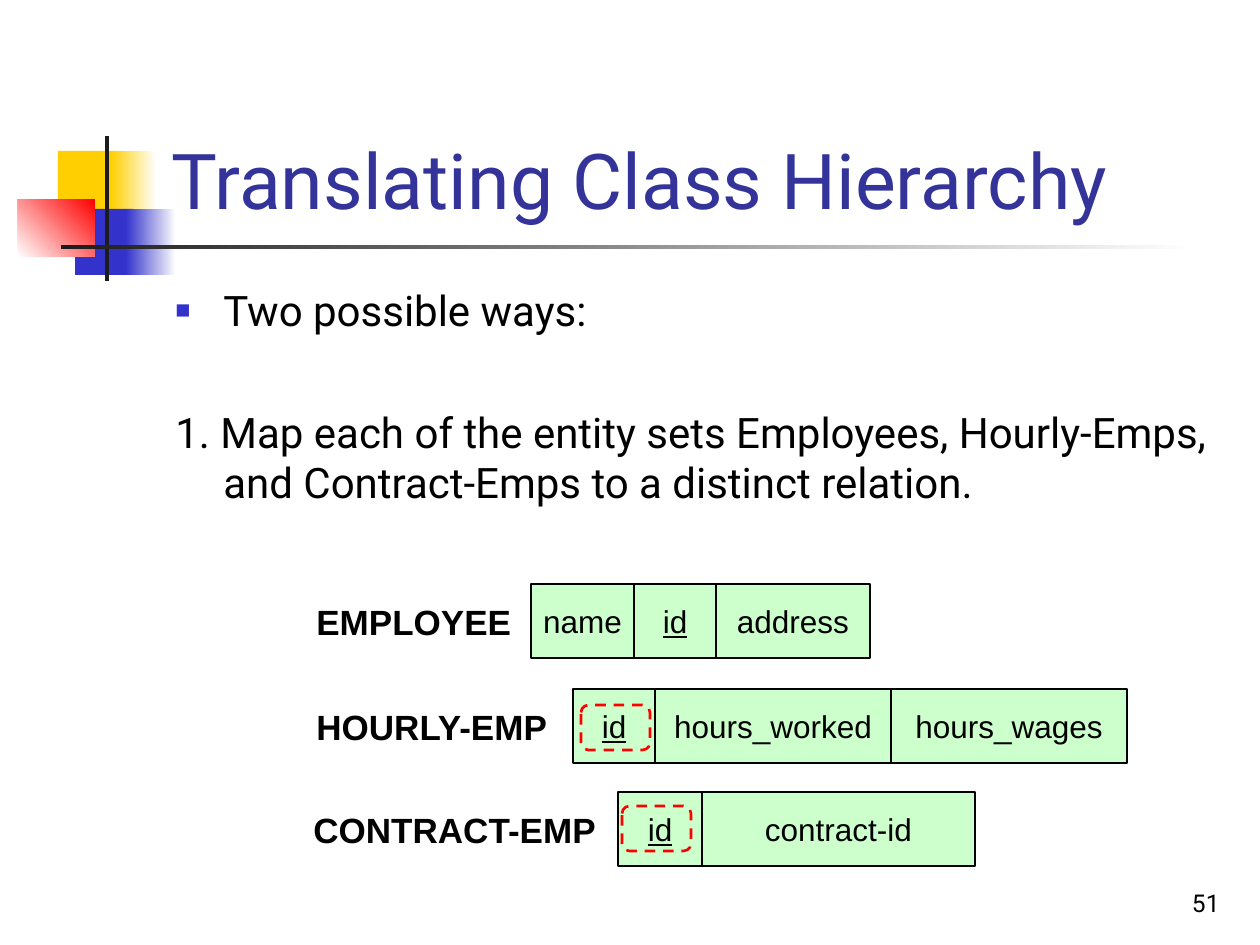
from dataclasses import dataclass

from lxml import etree
from pptx import Presentation
from pptx.dml.color import RGBColor
from pptx.enum.dml import MSO_LINE
from pptx.enum.shapes import MSO_SHAPE
from pptx.enum.text import MSO_ANCHOR, PP_ALIGN
from pptx.oxml.ns import qn
from pptx.util import Emu, Pt

RECTANGLE, ROUNDED = MSO_SHAPE.RECTANGLE, MSO_SHAPE.ROUNDED_RECTANGLE
LEFT, CENTER, RIGHT = PP_ALIGN.LEFT, PP_ALIGN.CENTER, PP_ALIGN.RIGHT
TOP, MIDDLE, BOTTOM = MSO_ANCHOR.TOP, MSO_ANCHOR.MIDDLE, MSO_ANCHOR.BOTTOM
DASH = MSO_LINE.DASH


@dataclass(frozen=True)
class Theme:
    heading_font: str = "Roboto"
    diagram_font: str = "Arial"
    title: str = "333399"
    ink: str = "000000"
    paper: str = "FFFFFF"
    dark: str = "1C1C1C"
    yellow: str = "FFCF01"
    blue: str = "3333CC"
    red: str = "FF0000"
    cell: str = "CCFFCC"
    title_size: int = 44
    body_size: int = 24
    label_size: int = 20
    cell_size: int = 18
    number_size: int = 14


THEME = Theme()


def px(length):
    return Emu(round(length * 914400 / 126))


def rgb(color):
    return RGBColor.from_string(color)


def set_font(paragraph, size, color=THEME.ink, name=THEME.heading_font, **style):
    font = paragraph.font
    font.size, font.name = Pt(size), name
    font.color.rgb = rgb(color)
    for key, value in style.items():
        setattr(font, key, value)


def add_shape(slide, box, fill=None, kind=RECTANGLE):
    shape = slide.shapes.add_shape(kind, *map(px, box))
    shape.shadow.inherit = False
    shape.line.fill.background()
    if fill:
        shape.fill.solid()
        shape.fill.fore_color.rgb = rgb(fill)
    else:
        shape.fill.background()
    return shape


def add_gradient(slide, box, start, end, angle=0):
    fill = add_shape(slide, box).fill
    fill.gradient()
    fill.gradient_angle = angle
    for stop, color in zip(fill.gradient_stops, (start, end)):
        stop.color.rgb = rgb(color)


def set_outline(shape, color, width):
    shape.line.color.rgb = rgb(color)
    shape.line.width = Pt(width)


def add_text(slide, box, text, anchor, align=LEFT):
    frame = slide.shapes.add_textbox(*map(px, box)).text_frame
    frame.word_wrap = True
    frame.vertical_anchor = anchor
    paragraph = frame.paragraphs[0]
    paragraph.text, paragraph.alignment = text, align
    return paragraph


def hang_indent(paragraph, indent):
    properties = paragraph._p.get_or_add_pPr()
    properties.set("marL", str(px(indent)))
    properties.set("indent", str(-px(indent)))
    return properties


def add_square_bullet(properties, color):
    bullet_color = etree.SubElement(properties, qn("a:buClr"))
    etree.SubElement(bullet_color, qn("a:srgbClr"), val=color)
    etree.SubElement(properties, qn("a:buSzPct"), val="60000")
    etree.SubElement(properties, qn("a:buFont"), typeface=THEME.diagram_font)
    etree.SubElement(properties, qn("a:buChar"), char="■")


def draw_ornament(slide, left, top):
    # Coloured squares, fading at one side
    add_shape(slide, (left + 40, top + 15, 60, 66), THEME.yellow)
    add_gradient(slide, (left + 93, top + 15, 45, 66), THEME.yellow, THEME.paper)
    add_shape(slide, (left + 57, top + 73, 58, 66), THEME.blue)
    add_gradient(slide, (left + 108, top + 73, 50, 66), THEME.blue, THEME.paper)
    add_gradient(slide, (left, top + 63, 77, 58), THEME.paper, THEME.red, 45)
    # Crossing bars
    add_shape(slide, (left + 87, top, 4, 145), THEME.dark)
    add_gradient(slide, (left + 43, top + 109, 1134, 4), THEME.dark, THEME.paper)


def draw_title(slide, box, text):
    set_font(add_text(slide, box, text, BOTTOM), THEME.title_size, THEME.title)


def draw_body(slide, box, bullet, step):
    first = add_text(slide, box, bullet, TOP)
    add_square_bullet(hang_indent(first, 48), THEME.blue)
    second = first._parent.add_paragraph()
    second.text = step
    hang_indent(second, 48)
    second.space_before = Pt(41)
    for paragraph in (first, second):
        set_font(paragraph, THEME.body_size)


def draw_relation(slide, box, name, cells, marker=None):
    left, top, label_width, height = box
    # Relation name, in the space up to the first cell
    label = add_text(slide, box, name, MIDDLE)
    set_font(label, THEME.label_size, name=THEME.diagram_font, bold=True)

    # Attribute cells; the key is underlined
    cell_left, cell_top = left + label_width, top + 5
    x = cell_left
    for text, width in cells:
        cell = add_shape(slide, (x, cell_top, width, height - 10), THEME.cell)
        set_outline(cell, THEME.ink, 1)
        frame = cell.text_frame
        frame.word_wrap, frame.vertical_anchor = False, MIDDLE
        paragraph = frame.paragraphs[0]
        paragraph.text, paragraph.alignment = text, CENTER
        set_font(paragraph, THEME.cell_size, name=THEME.diagram_font,
                 underline=text == "id")
        x += width

    # Dashed frame around an inherited key
    if marker:
        dx, dy = marker
        frame_shape = add_shape(
            slide, (cell_left + dx, cell_top + dy, 69, 45), kind=ROUNDED)
        set_outline(frame_shape, THEME.red, 1.5)
        frame_shape.line.dash_style = DASH


def draw_page_number(slide, box, number):
    set_font(add_text(slide, box, number, BOTTOM, RIGHT), THEME.number_size)


def main():
    presentation = Presentation()
    presentation.slide_width, presentation.slide_height = px(1260), px(945)
    slide = presentation.slides.add_slide(presentation.slide_layouts[6])

    draw_ornament(slide, 18, 136)
    draw_page_number(slide, (970, 861, 262, 63), "51")
    draw_title(slide, (159, 29, 1074, 202), "Translating Class Hierarchy")
    draw_body(slide, (163, 278, 1071, 567), "Two possible ways:",
              "1. Map each of the entity sets Employees, Hourly-Emps, "
              "and Contract-Emps to a distinct relation.")

    draw_relation(slide, (304, 579, 227, 84), "EMPLOYEE",
                  [("name", 103), ("id", 82), ("address", 154)])
    draw_relation(slide, (304, 684, 269, 84), "HOURLY-EMP",
                  [("id", 82), ("hours_worked", 236), ("hours_wages", 236)], (8, 16))
    draw_relation(slide, (301, 787, 317, 84), "CONTRACT-EMP",
                  [("id", 84), ("contract-id", 273)], (4, 14))

    presentation.save("out.pptx")


if __name__ == "__main__":
    main()
